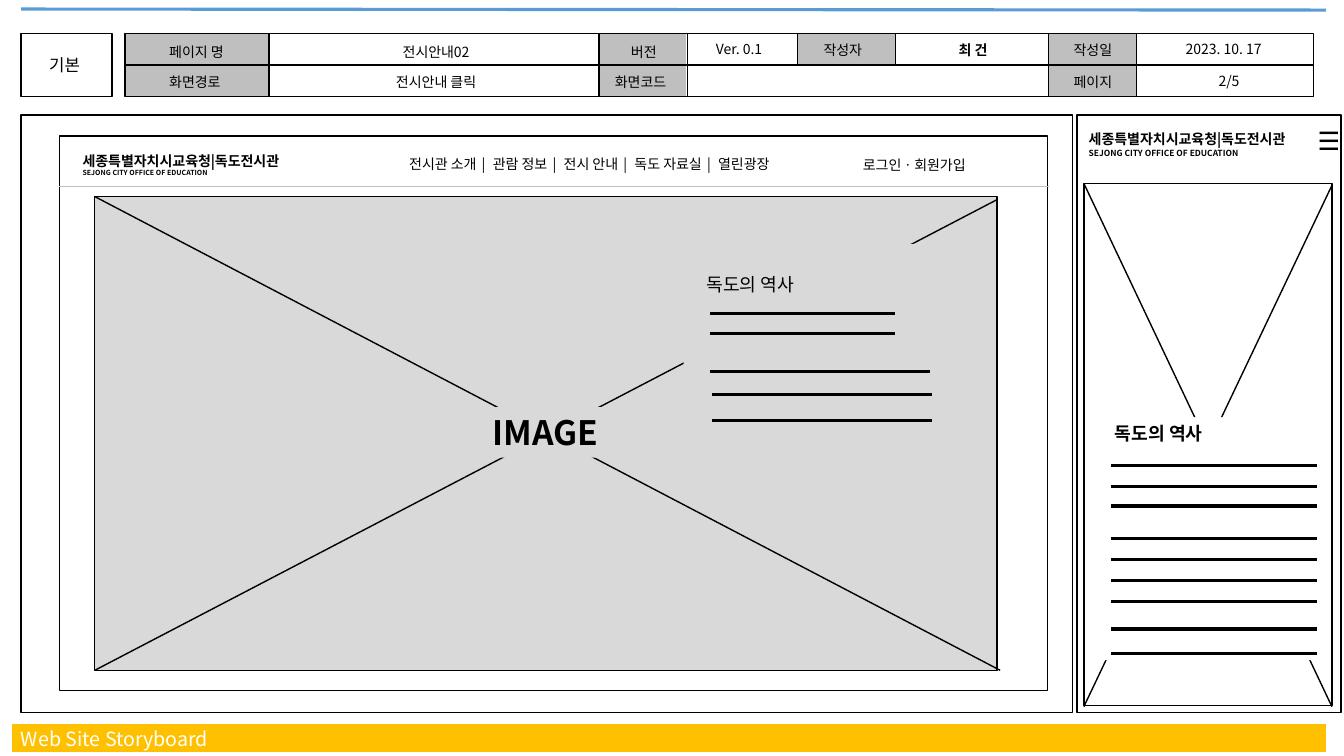
from lxml.etree import SubElement
from pptx import Presentation
from pptx.dml.color import RGBColor
from pptx.enum.shapes import MSO_CONNECTOR, MSO_SHAPE
from pptx.enum.text import MSO_ANCHOR, MSO_AUTO_SIZE, PP_ALIGN
from pptx.oxml.ns import qn
from pptx.util import Inches, Pt

BLACK = RGBColor(0x00, 0x00, 0x00)
WHITE = RGBColor(0xFF, 0xFF, 0xFF)
BLUE = RGBColor(0x5B, 0x9B, 0xD5)
AMBER = RGBColor(0xFF, 0xC0, 0x00)
LABEL_GRAY = RGBColor(0xBF, 0xBF, 0xBF)
IMAGE_GRAY = RGBColor(0xD9, 0xD9, 0xD9)
FONT = "Noto Sans CJK KR"
CENTER = PP_ALIGN.CENTER
LEFT = PP_ALIGN.LEFT
SITE_NAME = "세종특별자치시교육청|독도전시관"
OFFICE_NAME = "SEJONG CITY OFFICE OF EDUCATION"
HISTORY = "독도의 역사"


class StoryboardSlide:
    """Draws wireframe elements in one shared style on a slide."""

    def __init__(self, slide):
        self.slide = slide
        self.frame_format = {
            "word_wrap": True,
            "auto_size": MSO_AUTO_SIZE.SHAPE_TO_FIT_TEXT,
            "vertical_anchor": MSO_ANCHOR.TOP,
        }

    def box(self, left, top, width, height, fill=WHITE, outline=BLACK):
        shape = self.slide.shapes.add_shape(
            MSO_SHAPE.RECTANGLE, Inches(left), Inches(top), Inches(width), Inches(height))
        shape.shadow.inherit = False
        if fill is None:
            shape.fill.background()
        else:
            shape.fill.solid()
            shape.fill.fore_color.rgb = fill
        if outline is None:
            shape.line.fill.background()
        else:
            shape.line.color.rgb = outline
            shape.line.width = Pt(1)
        return shape

    def line(self, x1, y1, x2, y2, color=BLACK, width=1):
        connector = self.slide.shapes.add_connector(
            MSO_CONNECTOR.STRAIGHT, Inches(x1), Inches(y1), Inches(x2), Inches(y2))
        connector.line.color.rgb = color
        connector.line.width = Pt(width)
        SubElement(connector.element.spPr, qn("a:effectLst"))
        return connector

    def text_lines(self, left, right, tops):
        for top in tops:
            self.line(left, top, right, top, width=2.25)

    def add_text(self, paragraph, text, size, color=BLACK, bold=False, spacing=0):
        run = paragraph.add_run()
        run.text = text
        for name, value in {"name": FONT, "size": Pt(size), "bold": bold}.items():
            setattr(run.font, name, value)
        run.font.color.rgb = color
        properties = run._r.get_or_add_rPr()
        SubElement(properties, qn("a:ea")).set("typeface", FONT)
        if spacing:
            properties.set("spc", str(spacing))

    def fill_text(self, shape, text, size=10, align=LEFT, **style):
        for name, value in self.frame_format.items():
            setattr(shape.text_frame, name, value)
        paragraph = shape.text_frame.paragraphs[0]
        paragraph.alignment = align
        self.add_text(paragraph, text, size, **style)

    def text_box(self, left, top, width, height):
        return self.slide.shapes.add_textbox(
            Inches(left), Inches(top), Inches(width), Inches(height))

    def label(self, left, top, width, height, text, size=10, align=LEFT, **style):
        self.fill_text(self.text_box(left, top, width, height), text, size, align, **style)

    def site_title(self, left, top, width, height, office_size):
        title = self.text_box(left, top, width, height)
        self.fill_text(title, SITE_NAME, bold=True)
        self.add_text(title.text_frame.add_paragraph(), OFFICE_NAME, office_size, bold=True)

    def menu(self, left, top, width, height, items):
        bar = self.text_box(left, top, width, height)
        self.fill_text(bar, items[0], align=CENTER)
        paragraph = bar.text_frame.paragraphs[0]
        for item in items[1:]:
            self.add_text(paragraph, " | ", 10, spacing=150)
            self.add_text(paragraph, item, 10)


def draw_header(board):
    board.box(0.21, 1.14, 10.43, 5.93)
    board.box(0.21, 0.33, 0.9, 0.63)
    board.label(0.39, 0.49, 0.54, 0.36, "기본", 12)
    board.line(0.21, 0.09, 13.15, 0.1, BLUE, 2.25)
    board.line(0.12, 7.32, 13.15, 7.32, AMBER, 20)
    board.label(0.11, 7.16, 2.61, 0.34, "Web Site Storyboard", 14, color=WHITE)

    for left, width, height in ((10.4, 0.88, 0.63), (1.24, 1.44, 0.63),
                                (5.94, 0.87, 0.63), (7.91, 0.97, 0.32)):
        board.box(left, 0.33, width, height, LABEL_GRAY, WHITE)
    header = board.box(1.24, 0.33, 11.79, 0.63, None)
    row_rule = board.line(1.24, 0.65, 13.03, 0.65)
    row_rule.begin_connect(header, 1)
    row_rule.end_connect(header, 3)

    for left, top, width, text, align, bold in (
            (1.58, 0.38, 0.94, "페이지 명", LEFT, False),
            (1.58, 0.68, 0.94, "화면경로", LEFT, False),
            (6, 0.68, 0.76, "화면코드", LEFT, False),
            (8.07, 0.36, 0.67, "작성자", LEFT, False),
            (10.55, 0.36, 0.62, "작성일", LEFT, False),
            (6.01, 0.38, 0.75, "버전", CENTER, False),
            (10.55, 0.68, 0.62, "페이지", LEFT, False),
            (2.84, 0.38, 2.97, "전시안내02", CENTER, False),
            (6.9, 0.35, 0.86, "Ver. 0.1", CENTER, False),
            (9.22, 0.36, 0.86, "최 건", CENTER, True),
            (11.63, 0.35, 1.01, "2023. 10. 17", CENTER, False),
            (11.59, 0.67, 1.2, "2/5", CENTER, False),
            (2.84, 0.68, 2.97, "전시안내 클릭", CENTER, False)):
        board.label(left, top, width, 0.27, text, align=align, bold=bold)
    for x, bottom in ((2.67, 0.96), (5.94, 0.96), (6.82, 0.96), (7.91, 0.65),
                      (8.88, 0.65), (10.4, 0.96), (11.27, 0.96)):
        board.line(x, 0.33, x, bottom)


def draw_desktop(board):
    board.box(0.59, 1.35, 9.8, 5.5)
    board.site_title(0.72, 1.46, 2.52, 0.35, 5)
    board.menu(3.62, 1.49, 4.45, 0.27,
               ("전시관 소개", "관람 정보", "전시 안내", "독도 자료실", "열린광장"))
    board.label(8.46, 1.5, 1.32, 0.27, "로그인ㆍ회원가입")
    board.line(0.59, 1.85, 10.4, 1.85, LABEL_GRAY, 0.5)
    board.box(0.94, 1.95, 8.95, 4.7, IMAGE_GRAY)
    board.line(0.94, 1.95, 9.92, 6.65)
    board.line(0.94, 6.65, 9.89, 1.98)
    image_label = board.box(2.94, 4.04, 4.94, 0.5, IMAGE_GRAY, None)
    board.fill_text(image_label, "IMAGE", 24, CENTER, bold=True)
    board.box(6.78, 2.42, 2.81, 2.41, IMAGE_GRAY, None)
    board.label(6.91, 2.66, 1.23, 0.32, HISTORY, 13)
    board.text_lines(7.04, 8.88, (3.11, 3.31))
    board.text_lines(7.04, 9.22, (3.69,))
    board.text_lines(7.06, 9.24, (3.91, 4.17))


def draw_mobile(board):
    board.box(10.68, 1.14, 2.62, 5.93)
    board.box(10.75, 1.82, 2.46, 5.18)
    board.line(10.75, 1.82, 13.21, 7.01)
    board.line(10.75, 7.01, 13.21, 1.84)
    board.box(10.88, 4.14, 2.3, 2.41, WHITE, None)
    heading = board.box(10.96, 4.14, 2.13, 0.34, WHITE, None)
    board.fill_text(heading, HISTORY, 13, bold=True)
    board.text_lines(11.02, 13.06,
                     (4.62, 4.83, 5.02, 5.34, 5.55, 5.76, 5.97, 6.24, 6.48))
    board.label(12.97, 1.19, 0.3, 0.44, "☰", 18, CENTER)
    board.site_title(10.7, 1.25, 2.34, 0.4, 6)


def main():
    presentation = Presentation()
    presentation.slide_width = Inches(13.33)
    presentation.slide_height = Inches(7.5)
    board = StoryboardSlide(presentation.slides.add_slide(presentation.slide_layouts[6]))
    draw_header(board)
    draw_desktop(board)
    draw_mobile(board)
    presentation.save("out.pptx")


if __name__ == "__main__":
    main()
